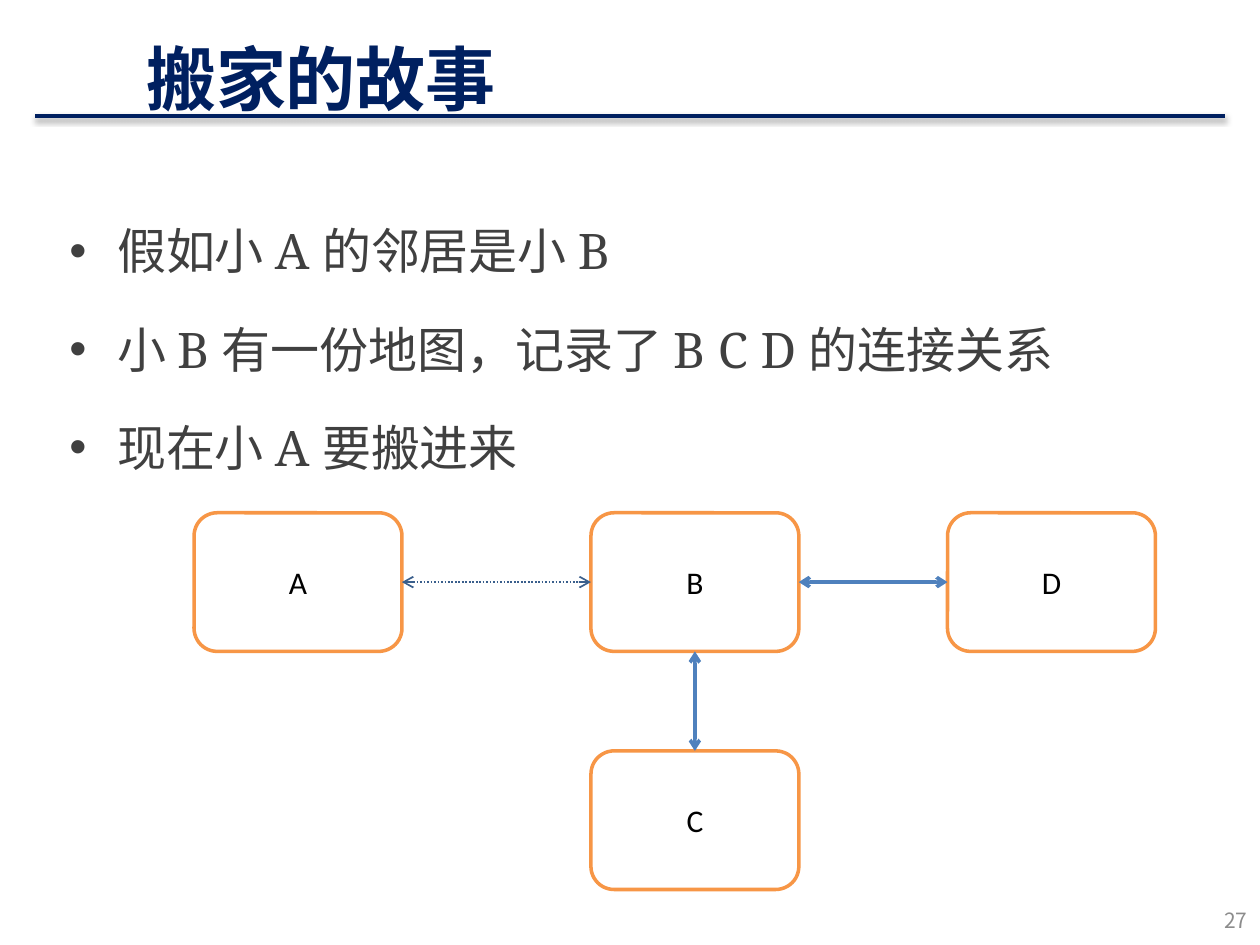
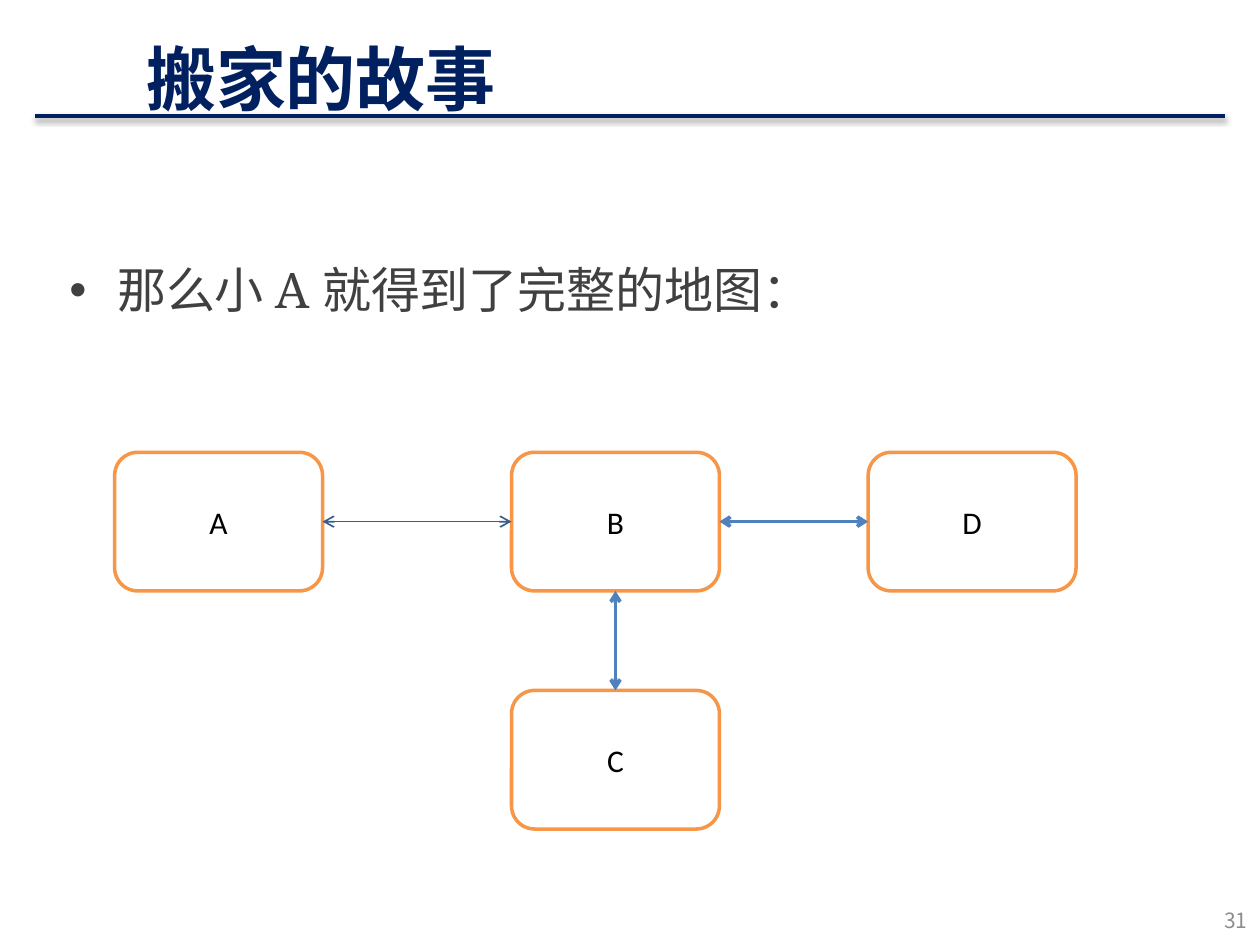
from lxml import etree
from pptx import Presentation
from pptx.dml.color import RGBColor
from pptx.enum.dml import MSO_LINE
from pptx.enum.shapes import MSO_CONNECTOR, MSO_SHAPE
from pptx.enum.text import MSO_ANCHOR, MSO_AUTO_SIZE, PP_ALIGN
from pptx.oxml.ns import qn
from pptx.util import Inches, Pt

# Shared look
NAVY = RGBColor(0x00, 0x20, 0x60)
TEXT_GRAY = RGBColor(0x40, 0x40, 0x40)
NUMBER_GRAY = RGBColor(0x8C, 0x8C, 0x8C)
ORANGE = RGBColor(0xF7, 0x96, 0x46)
BLUE = RGBColor(0x4F, 0x81, 0xBD)
DARK_BLUE = RGBColor(0x3A, 0x5F, 0x8C)
BLACK = RGBColor(0x00, 0x00, 0x00)
WHITE = RGBColor(0xFF, 0xFF, 0xFF)
CJK_FONT = "Noto Sans CJK SC"
LINE_SPACING = 1.5

# House size, and each house's offset from house A
HOUSE_W, HOUSE_H = 1.65, 1.1
HOUSES = {"A": (0, 0), "B": (3.15, 0), "C": (3.15, 1.89), "D": (5.98, 0)}
TOP, LEFT, BOTTOM, RIGHT = range(4)  # connection sites


def place(shape, left, top, width, height):
    shape.left, shape.top = Inches(left), Inches(top)
    shape.width, shape.height = Inches(width), Inches(height)


def style_runs(paragraph, font, size, color, bold=False):
    for run in paragraph.runs:
        run.font.name, run.font.size, run.font.bold = font, Pt(size), bold
        run.font.color.rgb = color
        east_asian = etree.Element(qn("a:ea"), typeface=CJK_FONT)
        run.font._element.find(qn("a:latin")).addnext(east_asian)


def add_line(slide, start, end, color, width):
    line = slide.shapes.add_connector(
        MSO_CONNECTOR.STRAIGHT, *(Inches(v) for v in (*start, *end)))
    line.line.color.rgb, line.line.width = color, Pt(width)
    effects = etree.SubElement(line._element.spPr, qn("a:effectLst"))
    return line, effects


def add_title_rule(slide):
    _, effects = add_line(slide, (0.28, 0.92), (9.72, 0.92), NAVY, 2.5)
    shadow = etree.SubElement(effects, qn("a:outerShdw"), blurRad=str(Pt(3.1)),
                              dist=str(Pt(1.8)), dir="5400000", rotWithShape="0")
    black = etree.SubElement(shadow, qn("a:srgbClr"), val="000000")
    etree.SubElement(black, qn("a:alpha"), val="35000")


def set_title(slide, text):
    title = slide.shapes.title
    place(title, 1.06, 0.05, 8.25, 0.79)
    frame = title.text_frame
    frame.text = text
    frame.auto_size = MSO_AUTO_SIZE.NONE
    frame.vertical_anchor = MSO_ANCHOR.MIDDLE
    heading = frame.paragraphs[0]
    heading.alignment = PP_ALIGN.LEFT
    heading.line_spacing = LINE_SPACING
    style_runs(heading, "Comic Neue", 40, NAVY, bold=True)


def set_story(slide, sentences, top):
    story = slide.placeholders[1]
    place(story, 0.45, top, 9, 4.95)
    frame = story.text_frame
    frame.text = "\n".join(sentences)
    frame.auto_size = MSO_AUTO_SIZE.NONE
    for i, sentence in enumerate(frame.paragraphs):
        props = sentence._p.get_or_add_pPr()
        props.set("marL", str(Inches(0.38)))
        props.set("indent", str(-Inches(0.38)))
        etree.SubElement(props, qn("a:buFont"), typeface="Arial")
        etree.SubElement(props, qn("a:buChar"), char="•")
        sentence.line_spacing = LINE_SPACING
        sentence.space_before = Pt(5.6 if i else 0)
        style_runs(sentence, "Noto Serif", 28, TEXT_GRAY)


def add_page_number(slide, number):
    footer = slide.shapes.add_textbox(
        Inches(7.67), Inches(7.1), Inches(2.33), Inches(0.4))
    frame = footer.text_frame
    frame.word_wrap = True
    frame.vertical_anchor = MSO_ANCHOR.MIDDLE
    frame.text = str(number)
    frame.paragraphs[0].alignment = PP_ALIGN.RIGHT
    style_runs(frame.paragraphs[0], CJK_FONT, 12, NUMBER_GRAY)


def add_house(slide, letter, left, top):
    house = slide.shapes.add_shape(
        MSO_SHAPE.ROUNDED_RECTANGLE, Inches(left), Inches(top),
        Inches(HOUSE_W), Inches(HOUSE_H))
    house.shadow.inherit = False
    house.fill.solid()
    house.fill.fore_color.rgb = WHITE
    house.line.color.rgb, house.line.width = ORANGE, Pt(2)
    frame = house.text_frame
    frame.text = letter
    frame.vertical_anchor = MSO_ANCHOR.MIDDLE
    frame.paragraphs[0].alignment = PP_ALIGN.CENTER
    style_runs(frame.paragraphs[0], "Calibri", 18, BLACK)
    return house


def add_road(slide, start, start_site, end, end_site, color, width, dash=None):
    road, _ = add_line(slide, (0, 0), (1, 1), color, width)
    road.begin_connect(start, start_site)
    road.end_connect(end, end_site)
    if dash:
        road.line.dash_style = dash
    outline = road.line._get_or_add_ln()
    for tip in ("a:headEnd", "a:tailEnd"):
        etree.SubElement(outline, qn(tip), type="arrow")


def add_map(slide, left, top, new_road_dash=None):
    houses = {letter: add_house(slide, letter, left + dx, top + dy)
              for letter, (dx, dy) in HOUSES.items()}
    a, b, c, d = houses.values()
    add_road(slide, a, RIGHT, b, LEFT, DARK_BLUE, 1, new_road_dash)
    add_road(slide, b, BOTTOM, c, TOP, BLUE, 2)
    add_road(slide, b, RIGHT, d, LEFT, BLUE, 2)


def add_story_slide(prs, sentences, story_top, number):
    slide = prs.slides.add_slide(prs.slide_layouts[1])
    add_title_rule(slide)
    set_title(slide, "搬家的故事")
    set_story(slide, sentences, story_top)
    add_page_number(slide, number)
    return slide


def main():
    prs = Presentation()
    prs.slide_width, prs.slide_height = Inches(10), Inches(7.5)

    # A is about to move in
    moving_in = add_story_slide(prs, [
        "假如小 A 的邻居是小 B",
        "小 B 有一份地图，记录了 B C D 的连接关系",
        "现在小 A 要搬进来",
    ], 1.47, 27)
    add_map(moving_in, 1.54, 4.07, MSO_LINE.ROUND_DOT)

    # A has the full map
    full_map = add_story_slide(prs, ["那么小 A 就得到了完整的地图："], 1.78, 31)
    add_map(full_map, 0.91, 3.59)

    prs.save("out.pptx")


if __name__ == "__main__":
    main()
